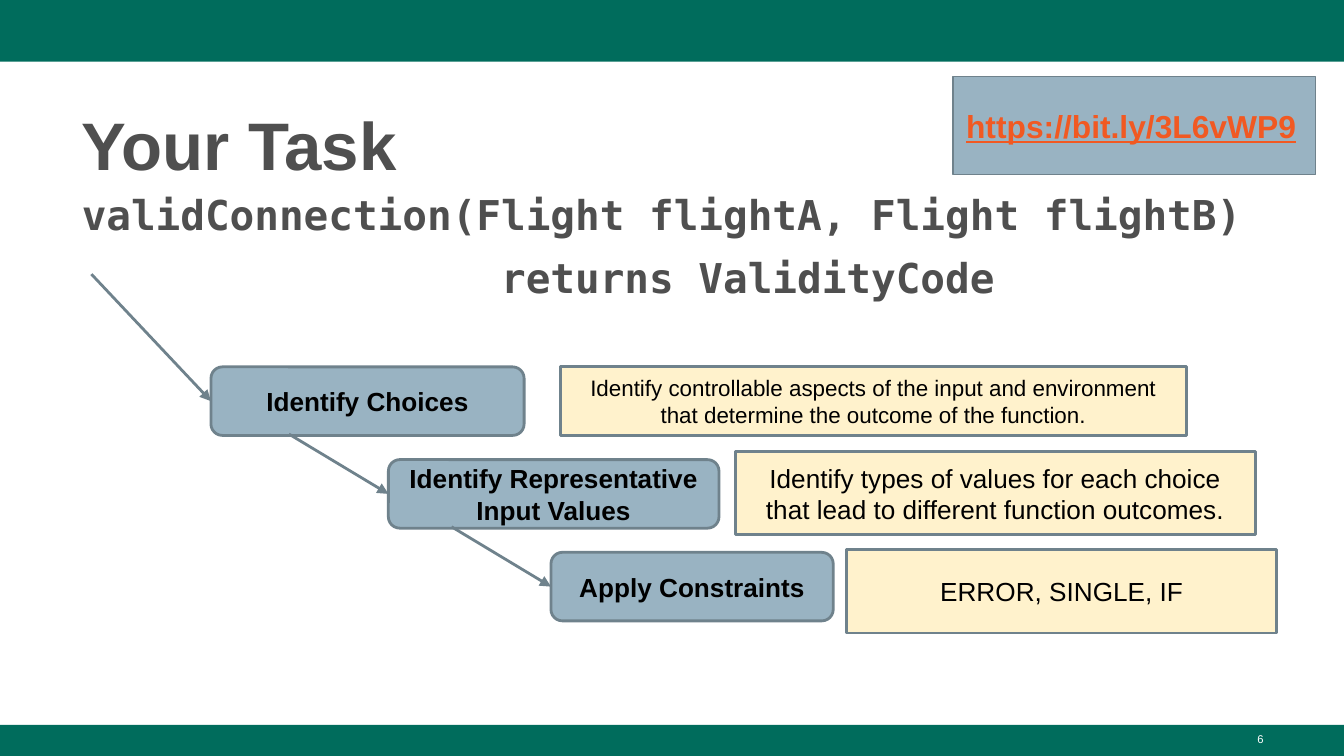
from lxml import etree
from pptx import Presentation
from pptx.dml.color import RGBColor
from pptx.enum import shapes, text
from pptx.oxml import ns
from pptx.util import Inches, Pt

GREEN = RGBColor(0x00, 0x6C, 0x5C)
GREY = RGBColor(0x4F, 0x4F, 0x4F)
BLUE = RGBColor(0x99, 0xB3, 0xC2)
SLATE = RGBColor(0x6F, 0x82, 0x8C)
CREAM = RGBColor(0xFF, 0xF2, 0xCC)
ORANGE = RGBColor(0xF1, 0x59, 0x22)
BLACK = RGBColor(0, 0, 0)
WHITE = RGBColor(0xFF, 0xFF, 0xFF)

RECT = shapes.MSO_SHAPE.RECTANGLE
ROUNDED = shapes.MSO_SHAPE.ROUNDED_RECTANGLE
LEFT, CENTER, RIGHT = text.PP_ALIGN.LEFT, text.PP_ALIGN.CENTER, text.PP_ALIGN.RIGHT

deck = Presentation()
deck.slide_width, deck.slide_height = Inches(10), Inches(10 * 9 / 16)
slide = deck.slides.add_slide(deck.slide_layouts[6])


def write(shape, words, size, color, bold=False, align=LEFT, font="Arial"):
    frame = shape.text_frame
    frame.word_wrap = True
    frame.text = words
    for paragraph in frame.paragraphs:
        paragraph.alignment = align
        for run in paragraph.runs:
            run.font.name, run.font.size, run.font.bold = font, Pt(size), bold
            run.font.color.rgb = color
    return frame


def add_box(kind, place, fill, line_width):
    box = slide.shapes.add_shape(kind, *map(Inches, place))
    box.shadow.inherit = False
    box.fill.solid()
    box.fill.fore_color.rgb = fill
    if line_width:
        box.line.color.rgb = SLATE
        box.line.width = Pt(line_width)
    else:
        box.line.fill.background()
    frame = box.text_frame
    frame.vertical_anchor = text.MSO_ANCHOR.MIDDLE
    frame.margin_left = frame.margin_right = Inches(0.1)
    frame.margin_top = frame.margin_bottom = Inches(0.1)
    return box


add_box(RECT, (0, 0, 10, 0.46), GREEN, 0)
footer = add_box(RECT, (0, 5.39, 10, 0.23), GREEN, 0)
footer.top = deck.slide_height - footer.height

title = slide.shapes.add_textbox(Inches(0.51), Inches(0.67), Inches(8.99), Inches(0.73))
write(title, "Your Task", 36, GREY, True).paragraphs[0].line_spacing = 1.08

signature = slide.shapes.add_textbox(Inches(0.51), Inches(1.4), Inches(8.99), Inches(3.81))
code = "validConnection(Flight flightA, Flight flightB)\n                 returns ValidityCode"
code_lines = write(signature, code, 22, GREY, True, font="DejaVu Sans Mono").paragraphs
for code_line in code_lines:
    code_line.line_spacing = 0.9
code_lines[1].space_before = Pt(10)

page_number = slide.shapes.add_textbox(Inches(7.17), Inches(5.4), Inches(2.33), Inches(0.23))
write(page_number, "6", 6, WHITE, align=RIGHT)

steps = [
    ("Identify Choices", 1.57, 2.33, (0.68, 2.04),
     "Identify controllable aspects of the input and environment that determine "
     "the outcome of the function.", (4.17, 2.73, 4.66, 0.51), 12),
    ("Identify Representative Input Values", 2.89, 2.46, (2.15, 3.23),
     "Identify types of values for each choice that lead to different function outcomes.",
     (5.47, 3.36, 3.87, 0.62), 14),
    ("Apply Constraints", 4.1, 2.1, (3.36, 3.92),
     "ERROR, SINGLE, IF", (6.3, 4.09, 3.2, 0.62), 14),
]
for index, (name, left, width, start, detail, detail_place, detail_size) in enumerate(steps):
    top = 2.73 + 0.69 * index
    step = add_box(ROUNDED, (left, top, width, 0.51), BLUE, 1.5)
    write(step, name, 14, BLACK, True, CENTER)

    arrow = slide.shapes.add_connector(
        shapes.MSO_CONNECTOR.STRAIGHT, *map(Inches, (*start, left, top + 0.25)))
    arrow.end_connect(step, 1)
    arrow.line.color.rgb = SLATE
    arrow.line.width = Pt(1.5)
    etree.SubElement(arrow.line._get_or_add_ln(), ns.qn("a:tailEnd"), type="triangle")
    etree.SubElement(arrow._element.spPr, ns.qn("a:effectLst"))

    explanation = add_box(RECT, detail_place, CREAM, 1.5)
    write(explanation, detail, detail_size, BLACK, align=CENTER)

link = add_box(RECT, (7.09, 0.57, 2.7, 0.73), BLUE, 0.75)
address = write(link, "https://bit.ly/3L6vWP9", 17, ORANGE, True).paragraphs[0].runs[0]
address.font.underline = True

deck.save("out.pptx")
